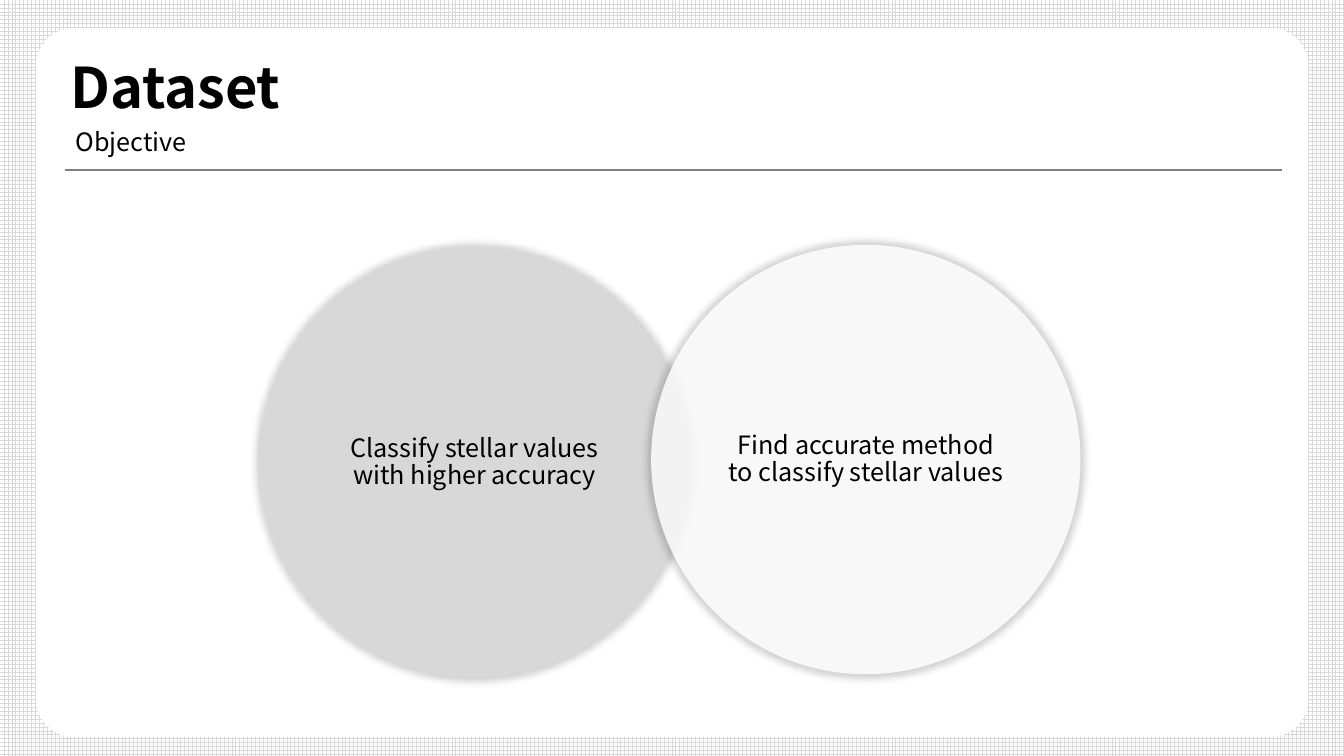
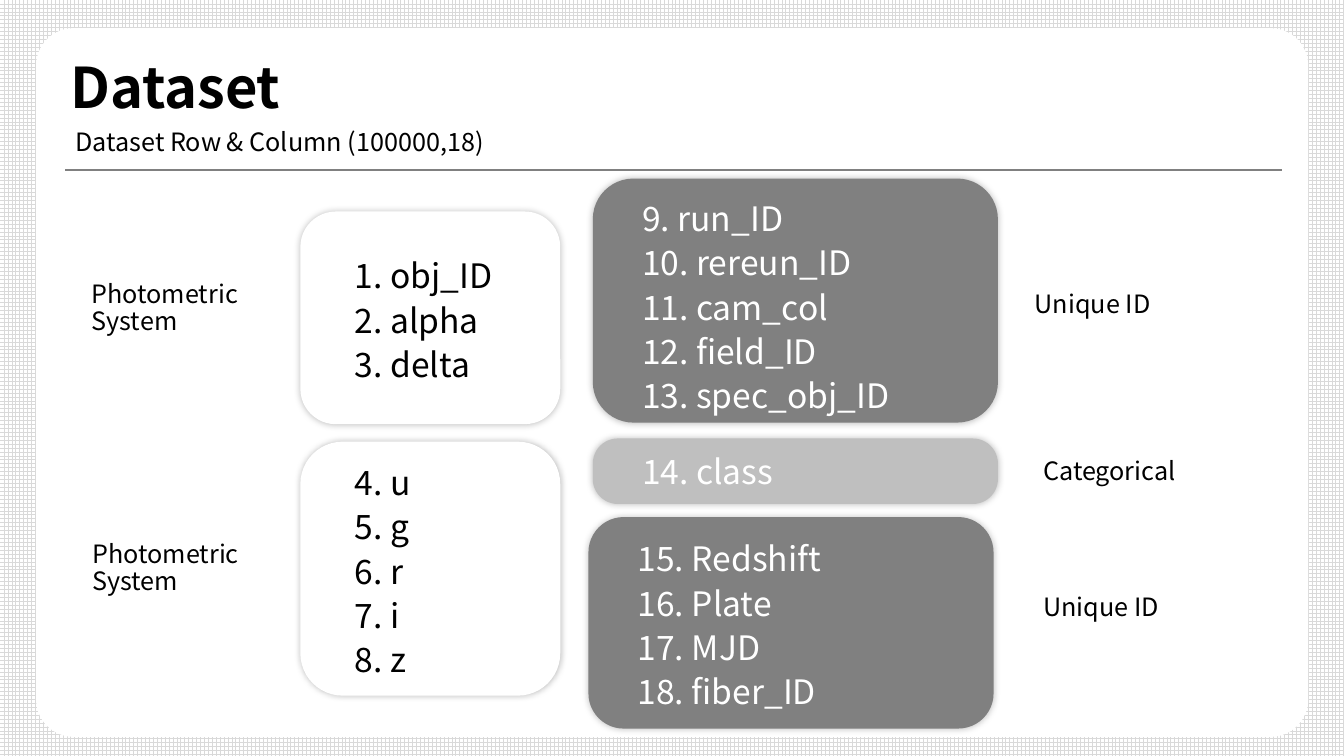
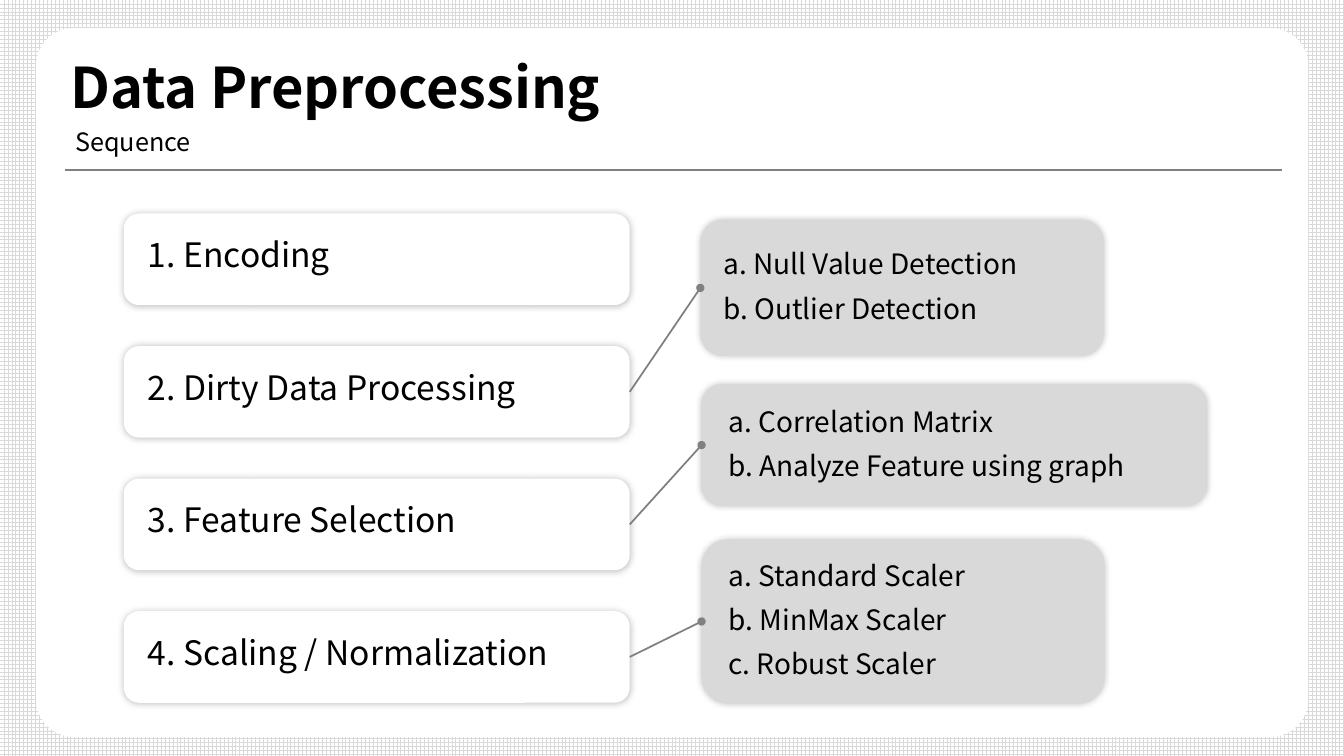
from collections import namedtuple

from pptx import Presentation
from pptx.dml.color import RGBColor
from pptx.enum.dml import MSO_PATTERN
from pptx.enum.shapes import MSO_CONNECTOR, MSO_SHAPE
from pptx.enum.text import MSO_ANCHOR, PP_ALIGN
from pptx.oxml import parse_xml
from pptx.oxml.ns import nsdecls, qn
from pptx.util import Cm, Pt

# Palette
BLACK = RGBColor(0x00, 0x00, 0x00)
WHITE = RGBColor(0xFF, 0xFF, 0xFF)
DARK_GRAY = RGBColor(0x80, 0x80, 0x80)
MID_GRAY = RGBColor(0xBF, 0xBF, 0xBF)
LIGHT_GRAY = RGBColor(0xD9, 0xD9, 0xD9)

# Text styles
FONT = "Noto Sans CJK KR"
TITLE = {"name": FONT, "size": Pt(40), "bold": True}
BODY = {"name": FONT, "size": Pt(18)}
ITEM = {"name": FONT, "size": Pt(24)}
DETAIL = {"name": FONT, "size": Pt(20)}

# Paragraph styles
TIGHT = {"line_spacing": 0.9}
CENTERED = {"line_spacing": 0.9, "alignment": PP_ALIGN.CENTER}
SINGLE = {"line_spacing": 1.0}
LOOSE = {"line_spacing": 1.1}
SPACED = {"line_spacing": 0.9, "space_before": Pt(10)}

# Regions, in centimetres
Box = namedtuple("Box", "left top width height")
PANEL = Box(0.91, 0.71, 32.06, 17.86)
TITLE_BOX = Box(1.52, 0.43, 29.21, 3.68)
SUBTITLE_BOX = Box(1.65, 1.78, 17.35, 3.68)
RULE_LEFT, RULE_RIGHT, RULE_TOP = 1.65, 32.31, 4.29


def set_values(target, values):
    for name, value in values.items():
        setattr(target, name, value)


def add_text(slide, box, lines, font, paragraph_format, color=BLACK):
    """Text centred vertically in its box, one paragraph per line."""
    frame = slide.shapes.add_textbox(*map(Cm, box)).text_frame
    set_values(frame, {"word_wrap": True, "vertical_anchor": MSO_ANCHOR.MIDDLE})
    for index, line in enumerate(lines):
        paragraph = frame.add_paragraph() if index else frame.paragraphs[0]
        set_values(paragraph, paragraph_format)
        if index == 0:
            paragraph.space_before = Pt(0)
        run = paragraph.add_run()
        run.text = line
        set_values(run.font, font)
        run.font.color.rgb = color


def add_filled(slide, kind, box, fill, corner=None):
    shape = slide.shapes.add_shape(kind, *map(Cm, box))
    shape.shadow.inherit = False
    shape.fill.solid()
    shape.fill.fore_color.rgb = fill
    shape.line.fill.background()
    if corner is not None:
        shape.adjustments[0] = corner
    return shape


def add_glow(shape, opacity, scale=100):
    """Soft shadow on all sides; opacity and scale in percent."""
    effects = shape._element.spPr.find(qn("a:effectLst"))
    effects.append(parse_xml(
        f'<a:outerShdw {nsdecls("a")} blurRad="{Pt(5)}" sx="{scale * 1000}" '
        f'sy="{scale * 1000}" algn="ctr" rotWithShape="0"><a:srgbClr val="000000">'
        f'<a:alpha val="{opacity * 1000}"/></a:srgbClr></a:outerShdw>'))


def add_line(slide, start, end, width):
    line = slide.shapes.add_connector(
        MSO_CONNECTOR.STRAIGHT, *map(Cm, (*start, *end)))
    line.line.color.rgb = DARK_GRAY
    line.line.width = Pt(width)
    line._element.spPr.append(parse_xml(f'<a:effectLst {nsdecls("a")}/>'))
    return line


def add_card(slide, box, lines, fill, indent, font, paragraph_format,
             color=BLACK, corner=None, shift=0):
    """Rounded card with a list that starts at the indent."""
    card = add_filled(slide, MSO_SHAPE.ROUNDED_RECTANGLE, box, fill, corner)
    add_glow(card, 26)
    text_box = Box(box.left + indent, box.top + shift,
                   box.width - indent, box.height)
    add_text(slide, text_box, lines, font, paragraph_format, color)
    return card


def add_page(prs, title, subtitle):
    """Blank slide with the shared panel, headings and rule."""
    slide = prs.slides.add_slide(prs.slide_layouts[6])
    add_filled(slide, MSO_SHAPE.ROUNDED_RECTANGLE, PANEL, WHITE, 0.053)
    add_text(slide, TITLE_BOX, [title], TITLE, TIGHT)
    add_line(slide, (RULE_LEFT, RULE_TOP), (RULE_RIGHT, RULE_TOP), 1.75)
    add_text(slide, SUBTITLE_BOX, [subtitle], BODY, TIGHT)
    return slide


def add_goal(slide, box, lines, fill):
    """Translucent circle with a centred statement."""
    circle = add_filled(slide, MSO_SHAPE.OVAL, box, fill)
    color = circle.fill._xPr.find(qn("a:solidFill"))[0]
    color.append(parse_xml(f'<a:alpha {nsdecls("a")} val="85000"/>'))
    add_glow(circle, 20, scale=102)
    width, height = 11.8, 4.2
    add_text(slide, Box(box.left + (box.width - width) / 2,
                        box.top + (box.height - height) / 2, width, height),
             lines, BODY, CENTERED)


def add_objective(prs):
    slide = add_page(prs, "Dataset", "Objective")
    diameter = 10.82
    goals = [
        (6.55, 6.25, LIGHT_GRAY, ["Classify stellar values", "with higher accuracy"]),
        (16.41, 6.17, WHITE, ["Find accurate method", "to classify stellar values"]),
    ]
    for left, top, fill, lines in goals:
        add_goal(slide, Box(left, top, diameter, diameter), lines, fill)


def add_columns(prs):
    slide = add_page(prs, "Dataset", "Dataset Row & Column (100000,18)")

    # Cards with the column names
    white_card = {"fill": WHITE, "indent": 1.12}
    dark_card = {"fill": DARK_GRAY, "indent": 0.99, "color": WHITE}
    class_card = {**dark_card, "fill": MID_GRAY, "corner": 0.383}
    groups = [
        (Box(7.57, 5.33, 6.55, 5.36), ["1. obj_ID", "2. alpha", "3. delta"],
         LOOSE, white_card),
        (Box(7.57, 11.13, 6.55, 6.4), ["4. u", "5. g", "6. r", "7. i", "8. z"],
         LOOSE, white_card),
        (Box(14.94, 4.5, 10.21, 6.15),
         ["9. run_ID", "10. rereun_ID", "11. cam_col", "12. field_ID",
          "13. spec_obj_ID"], LOOSE, {**dark_card, "shift": 0.1}),
        (Box(14.94, 11.05, 10.21, 1.65), ["14. class"], SINGLE, class_card),
        (Box(14.83, 13.03, 10.21, 5.33),
         ["15. Redshift", "16. Plate", "17. MJD", "18. fiber_ID"],
         LOOSE, dark_card),
    ]
    for box, names, spacing, look in groups:
        add_card(slide, box, names, font=ITEM, paragraph_format=spacing, **look)

    # Labels beside the cards, placed by their middle height
    photometric = ["Photometric", "System"]
    labels = [
        (2.06, 7.79, photometric, TIGHT),
        (2.08, 14.34, photometric, TIGHT),
        (25.83, 7.65, ["Unique ID"], SINGLE),
        (26.04, 11.86, ["Categorical"], SINGLE),
        (26.04, 15.27, ["Unique ID"], SINGLE),
    ]
    width, line_height = 5.97, 1.02
    for left, middle, lines, spacing in labels:
        height = line_height * len(lines)
        add_text(slide, Box(left, middle - height / 2, width, height),
                 lines, BODY, spacing)


def add_sequence(prs):
    slide = add_page(prs, "Data Preprocessing", "Sequence")

    # Steps in order
    first_step, pitch = Box(3.12, 5.38, 12.75, 2.31), 3.34
    steps = ["1. Encoding", "2. Dirty Data Processing", "3. Feature Selection",
             "4. Scaling / Normalization"]
    step_cards = [
        add_card(slide, first_step._replace(top=first_step.top + pitch * index),
                 [step], WHITE, 0.36, ITEM, SPACED, shift=-0.06)
        for index, step in enumerate(steps)
    ]

    # Details of the last three steps
    details = [
        (Box(17.65, 5.54, 10.16, 3.43), 0.33,
         ["a. Null Value Detection", "b. Outlier Detection"]),
        (Box(17.68, 9.68, 12.73, 3.07), 0.43,
         ["a. Correlation Matrix", "b. Analyze Feature using graph"]),
        (Box(17.68, 13.59, 10.16, 4.14), 0.43,
         ["a. Standard Scaler", "b. MinMax Scaler", "c. Robust Scaler"]),
    ]
    detail_cards = [
        add_card(slide, box, lines, LIGHT_GRAY, indent, DETAIL, SPACED)
        for box, indent, lines in details
    ]

    # Links from the right side of a step to the left side of its details
    left_side, right_side = 1, 3
    for step_card, detail_card in zip(step_cards[1:], detail_cards):
        link = add_line(slide, (0, 0), (1, 1), 1.25)
        link.begin_connect(step_card, right_side)
        link.end_connect(detail_card, left_side)
        link.line._get_or_add_ln().append(
            parse_xml(f'<a:tailEnd {nsdecls("a")} type="oval"/>'))


def main():
    prs = Presentation()
    set_values(prs, {"slide_width": Cm(33.87), "slide_height": Cm(19.05)})

    # Grid background shared by all slides
    grid = prs.slide_master.background.fill
    grid.patterned()
    grid.pattern = MSO_PATTERN.LARGE_GRID
    grid.fore_color.rgb = LIGHT_GRAY
    grid.back_color.rgb = WHITE

    for add_slide in (add_objective, add_columns, add_sequence):
        add_slide(prs)
    prs.save("out.pptx")


if __name__ == "__main__":
    main()
